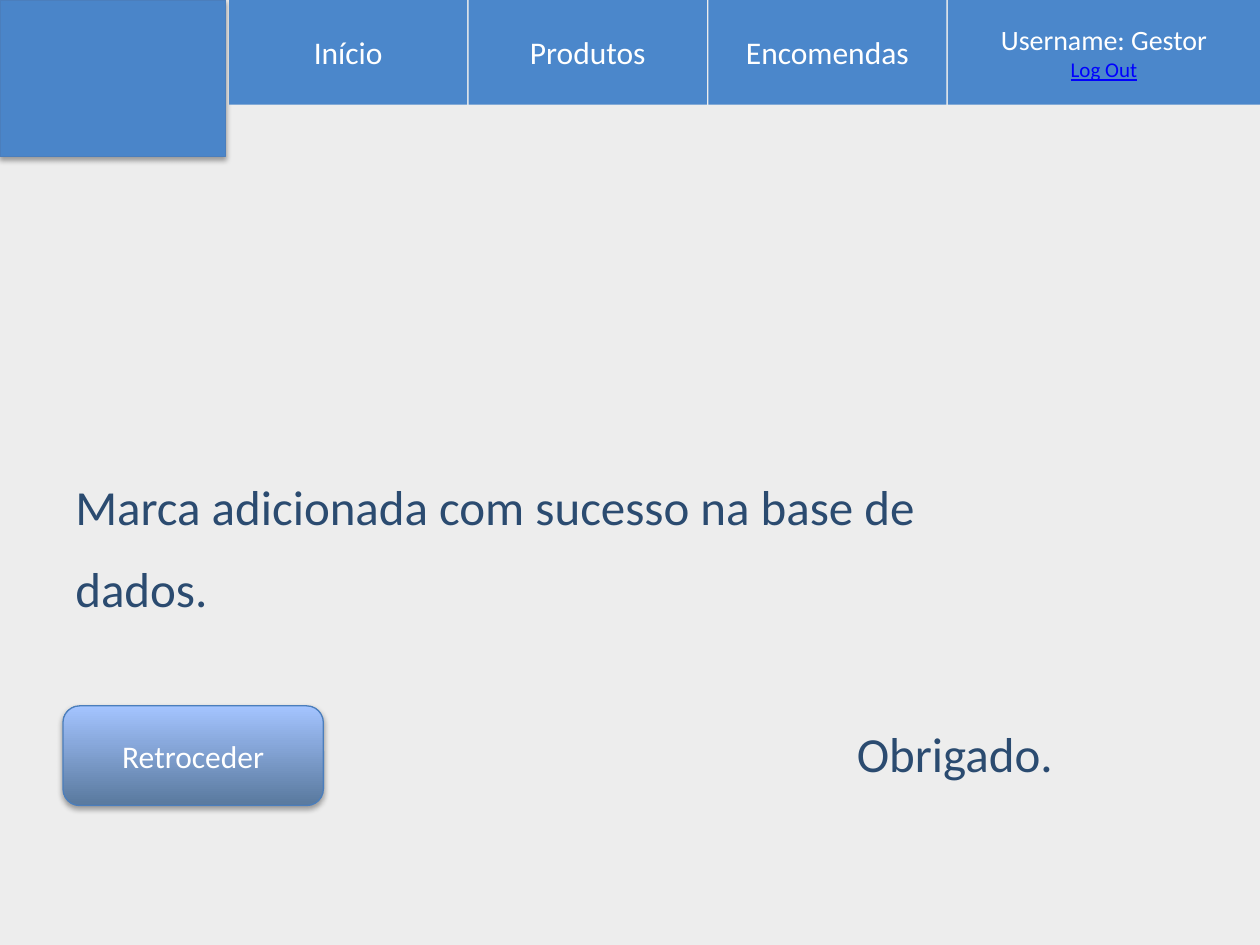
"""Build the confirmation screen shown after a brand is added to the database."""
from dataclasses import dataclass

from lxml import etree
from pptx import Presentation
from pptx import util as u
from pptx.dml.color import RGBColor
from pptx.enum import shapes, text
from pptx.oxml.ns import qn


@dataclass(frozen=True)
class Theme:
    font: str = "Calibri"
    page: RGBColor = RGBColor(0xED, 0xED, 0xED)
    corner: RGBColor = RGBColor(0x4A, 0x85, 0xC9)
    menu: RGBColor = RGBColor(0x4B, 0x87, 0xCB)
    border: RGBColor = RGBColor(0x4B, 0x7E, 0xBC)
    button_low: RGBColor = RGBColor(0x59, 0x79, 0x9E)
    button_high: RGBColor = RGBColor(0xA4, 0xC4, 0xFF)
    message: RGBColor = RGBColor(0x2B, 0x4B, 0x70)
    label: RGBColor = RGBColor(0xFF, 0xFF, 0xFF)
    link: RGBColor = RGBColor(0x00, 0x00, 0xFF)
    message_size: u.Pt = u.Pt(28)
    label_size: u.Pt = u.Pt(18)
    user_size: u.Pt = u.Pt(16)
    link_size: u.Pt = u.Pt(12)


theme = Theme()


def write(paragraph, words, size, color, align):
    paragraph.text = words
    paragraph.alignment = align
    paragraph.font.name = theme.font
    paragraph.font.size = size
    paragraph.font.color.rgb = color


def raise_up(panel):
    panel.line.color.rgb = theme.border
    panel.line.width = u.Pt(0.75)
    effects = panel._element.spPr.find(qn("a:effectLst"))
    shadow = etree.SubElement(
        effects, qn("a:outerShdw"), blurRad=str(u.Cm(0.11)),
        dist=str(u.Cm(0.06)), dir="5400000", rotWithShape="0")
    black = etree.SubElement(shadow, qn("a:srgbClr"), val="000000")
    etree.SubElement(black, qn("a:alpha"), val="35000")


prs = Presentation()
prs.slide_width, prs.slide_height = u.Cm(25.4), u.Cm(19.05)
slide = prs.slides.add_slide(prs.slide_layouts[6])
slide.background.fill.solid()
slide.background.fill.fore_color.rgb = theme.page

corner = slide.shapes.add_shape(
    shapes.MSO_SHAPE.RECTANGLE, 0, 0, u.Cm(4.55), u.Cm(3.15))
corner.shadow.inherit = False
corner.fill.solid()
corner.fill.fore_color.rgb = theme.corner
raise_up(corner)

message = slide.shapes.add_textbox(u.Cm(1.27), u.Cm(9), u.Cm(20.2), u.Cm(6.88)).text_frame
message.word_wrap = True
message.auto_size = text.MSO_AUTO_SIZE.SHAPE_TO_FIT_TEXT
success, thanks = message.paragraphs[0], message.add_paragraph()
write(success, "Marca adicionada com sucesso na base de dados.",
      theme.message_size, theme.message, text.PP_ALIGN.LEFT)
write(thanks, "Obrigado.", theme.message_size, theme.message, text.PP_ALIGN.RIGHT)
success.line_spacing = thanks.line_spacing = 1.4
thanks.space_before = u.Pt(47)

menu_left, menu_step, tab_width = 4.62, 4.83, 4.8
menu = [
    ("Início", tab_width, theme.label_size),
    ("Produtos", tab_width, theme.label_size),
    ("Encomendas", tab_width, theme.label_size),
    ("Username: Gestor", 6.29, theme.user_size),
]
for position, (title, width, size) in enumerate(menu):
    tab = slide.shapes.add_shape(
        shapes.MSO_SHAPE.RECTANGLE, u.Cm(menu_left + position * menu_step), 0,
        u.Cm(width), u.Cm(2.11))
    tab.shadow.inherit = False
    tab.fill.solid()
    tab.fill.fore_color.rgb = theme.menu
    tab.line.fill.background()
    tab.text_frame.vertical_anchor = text.MSO_ANCHOR.MIDDLE
    write(tab.text_frame.paragraphs[0], title, size, theme.label, text.PP_ALIGN.CENTER)

log_out = tab.text_frame.add_paragraph()
write(log_out, "Log Out", theme.link_size, theme.link, text.PP_ALIGN.CENTER)
log_out.font.underline = True

back = slide.shapes.add_shape(
    shapes.MSO_SHAPE.ROUNDED_RECTANGLE, u.Cm(1.27), u.Cm(14.23), u.Cm(5.25), u.Cm(2.01))
back.shadow.inherit = False
back.fill.gradient()
back.fill.gradient_angle = 90
for stop, color in zip(back.fill.gradient_stops, (theme.button_low, theme.button_high)):
    stop.color.rgb = color
raise_up(back)
back.text_frame.vertical_anchor = text.MSO_ANCHOR.MIDDLE
write(back.text_frame.paragraphs[0], "Retroceder",
      theme.label_size, theme.label, text.PP_ALIGN.CENTER)

prs.save("out.pptx")
